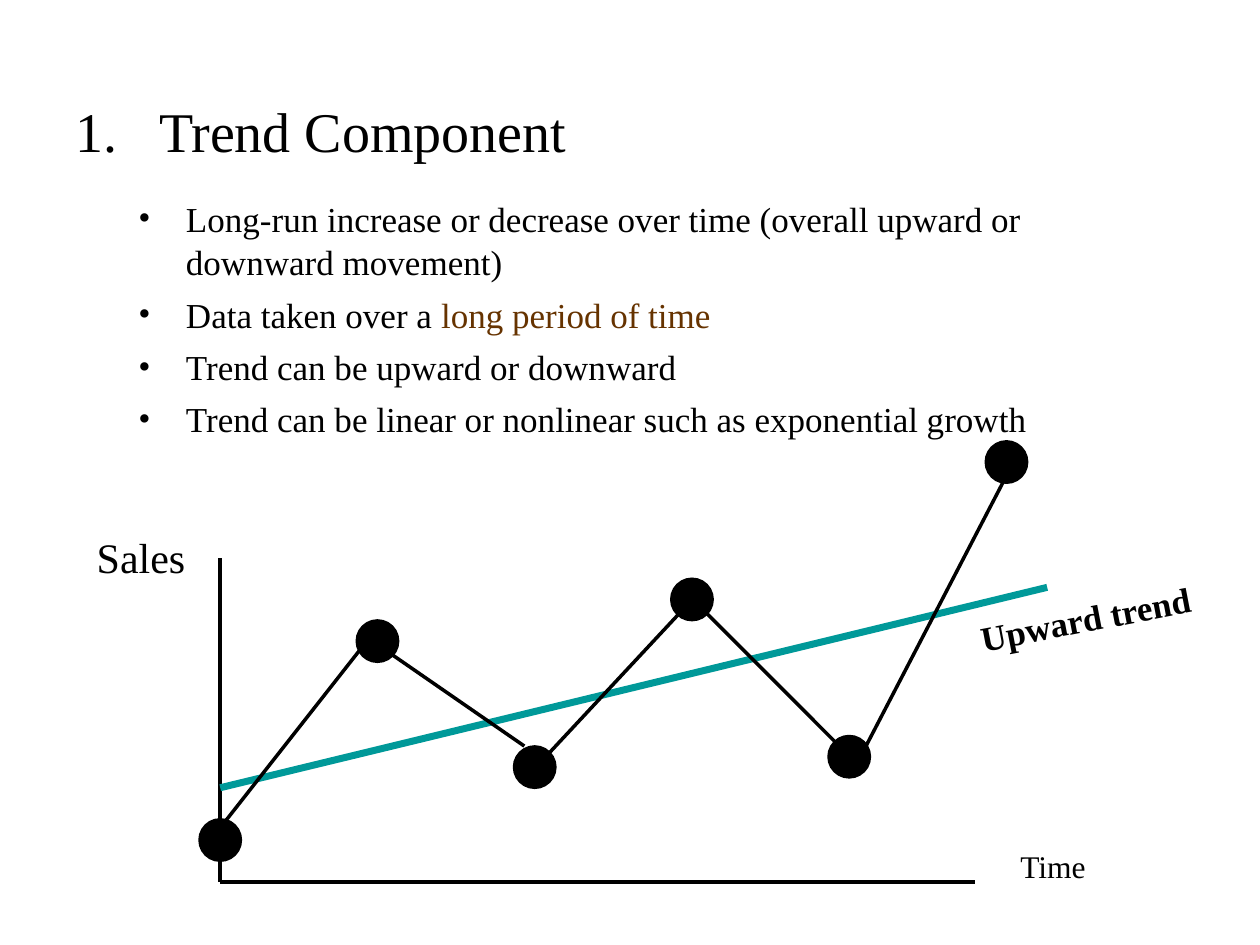
import pptx
import pptx.util
import pptx.dml.color
import pptx.enum.shapes
import pptx.enum.text
import pptx.oxml.ns
import lxml.etree

Cm = pptx.util.Cm
Pt = pptx.util.Pt
qn = pptx.oxml.ns.qn
HUES = {"ink": "000000", "paper": "FFFFFF", "brown": "663300", "teal": "009999"}


def hue(name):
    return pptx.dml.color.RGBColor.from_string(HUES[name])


def text(paras, box, size, bold=False, wrap=True, fill=None, turn=0,
         mark=None, hang=0, gap=0, lead=None, top=0.13):
    """Add a text box; each paragraph is a list of (words, colour) runs."""
    shape = slide.shapes.add_textbox(*map(Cm, box))
    shape.rotation = turn
    if fill:
        shape.fill.solid()
        shape.fill.fore_color.rgb = hue(fill)
    frame = shape.text_frame
    frame.word_wrap = wrap
    frame.margin_top = Cm(top)
    for i, runs in enumerate(paras):
        para = frame.add_paragraph() if i else frame.paragraphs[0]
        para.space_before = Pt(gap)
        if lead:
            para.line_spacing = lead
        for words, shade in runs:
            run = para.add_run()
            run.text = words
            run.font.name = "Times New Roman"
            run.font.size = Pt(size)
            run.font.bold = bold
            run.font.color.rgb = hue(shade)
        if mark:
            props = para._p.get_or_add_pPr()
            props.set("marL", str(Cm(hang)))
            props.set("indent", str(-Cm(hang)))
            face = lxml.etree.SubElement(props, qn("a:buFont"))
            face.set("typeface", "Times New Roman")
            tag, key, value = mark
            lxml.etree.SubElement(props, qn(tag)).set(key, value)


deck = pptx.Presentation()
deck.slide_width, deck.slide_height = Cm(25.4), Cm(19.05)
slide = deck.slides.add_slide(deck.slide_layouts[6])

# Words
text([[("Trend Component", "ink")]], (1.27, 1.7, 22.86, 2), 32,
     mark=("a:buAutoNum", "type", "arabicPeriod"), hang=1.69, top=0.25)
text([[("Upward trend", "ink")]], (19.48, 11.86, 5.28, 1.1), 20,
     bold=True, fill="paper", turn=349)
points = [
    [("Long-run increase or decrease over time "
      "(overall upward or downward movement)", "ink")],
    [("Data taken over a ", "ink"), ("long period of time", "brown")],
    [("Trend can be upward or downward", "ink")],
    [("Trend can be linear or nonlinear such as exponential growth", "ink")],
]
text(points, (2.54, 3.81, 21.16, 5.13), 20,
     mark=("a:buChar", "char", "•"), hang=0.96, gap=5, lead=1.04)
text([[("Sales", "ink")]], (1.7, 10.59, 2.97, 1.27), 24)

# Axes, trend and sales lines
left, base = 4.44, 17.78
lines = [
    (left, 11.25, left, base, "ink", 2),
    (left, base, 19.66, base, "ink", 2),
    (left, 15.88, 21.11, 11.84, "teal", 4),
    (4.24, 16.94, 7.39, 12.93, "ink", 2),
    (7.85, 13.16, 10.57, 15.04, "ink", 2),
    (10.8, 15.47, 13.97, 12.07, "ink", 2),
    (14.2, 12.32, 16.92, 15.04, "ink", 2),
    (17.14, 15.65, 20.32, 9.53, "ink", 2),
]
for *ends, shade, width in lines:
    line = slide.shapes.add_connector(
        pptx.enum.shapes.MSO_CONNECTOR.STRAIGHT, *map(Cm, ends))
    line.line.color.rgb = hue(shade)
    line.line.width = Pt(width)
    lxml.etree.SubElement(line._element.spPr, qn("a:effectLst"))

# Sales points at equal steps of time
size, step = 0.85, 3.17
for i, top in enumerate([16.51, 12.5, 15.04, 11.66, 14.83, 8.89]):
    dot = slide.shapes.add_shape(
        pptx.enum.shapes.MSO_SHAPE.OVAL,
        Cm(left - size / 2 + i * step), Cm(top), Cm(size), Cm(size))
    dot.shadow.inherit = False
    dot.fill.solid()
    dot.fill.fore_color.rgb = hue("ink")
    dot.line.color.rgb = hue("ink")
    dot.line.width = Pt(1)

text([[("Time", "ink")]], (20.32, 16.94, 1.85, 1.02), 18, wrap=False)

deck.save("out.pptx")
